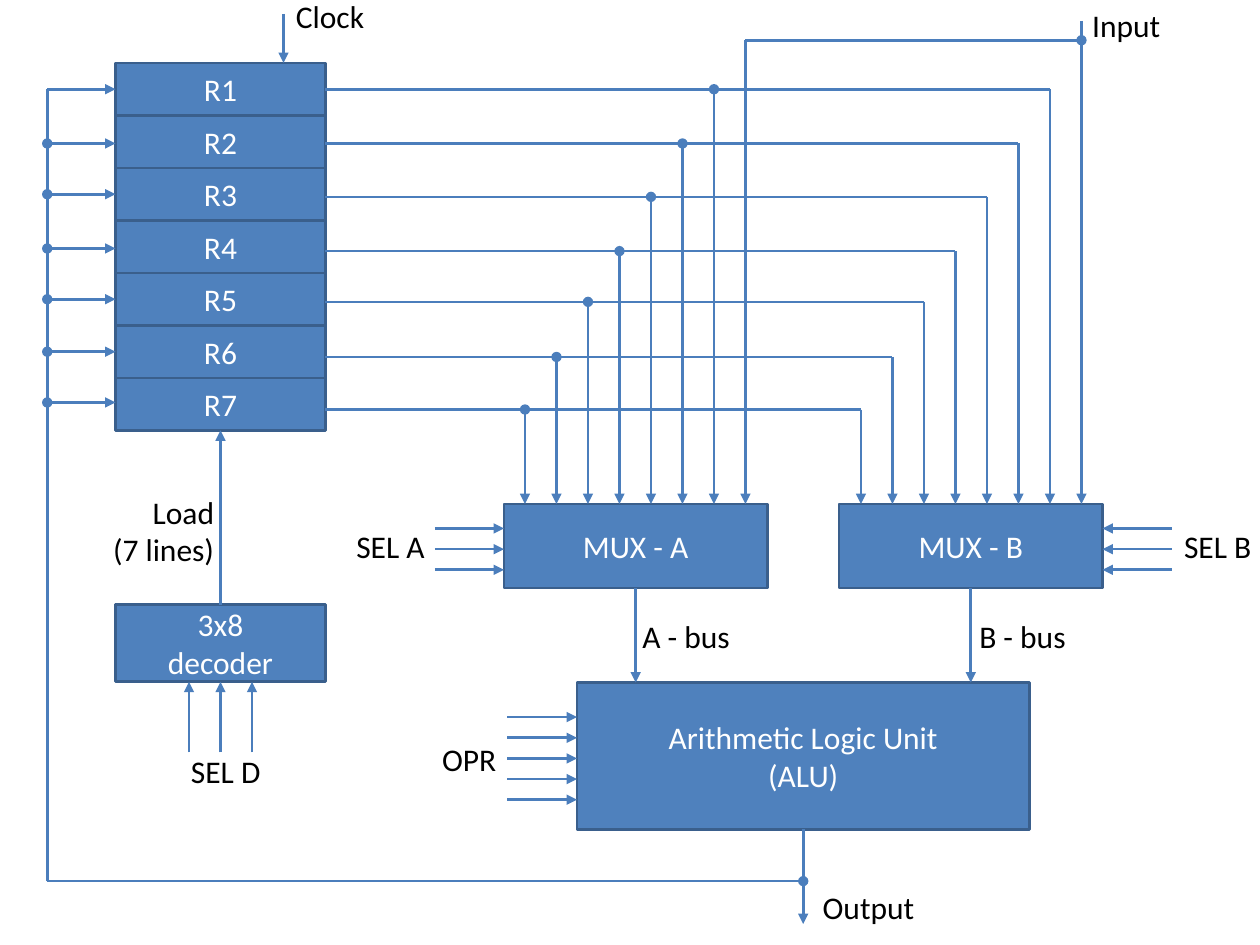
from dataclasses import dataclass

from lxml import etree
from pptx import Presentation
from pptx.dml.color import RGBColor
from pptx.enum.shapes import MSO_CONNECTOR, MSO_SHAPE
from pptx.enum.text import MSO_ANCHOR, MSO_AUTO_SIZE, PP_ALIGN
from pptx.oxml.ns import qn
from pptx.util import Pt

RECT = MSO_SHAPE.RECTANGLE
LINE = MSO_CONNECTOR.STRAIGHT
MIDDLE = MSO_ANCHOR.MIDDLE
GROW = MSO_AUTO_SIZE.SHAPE_TO_FIT_TEXT
LEFT, CENTER, RIGHT = PP_ALIGN.LEFT, PP_ALIGN.CENTER, PP_ALIGN.RIGHT
TOP_SITE, LEFT_SITE, BOTTOM_SITE, RIGHT_SITE = range(4)


@dataclass
class Theme:
    fill = RGBColor(0x4F, 0x81, 0xBD)
    edge = RGBColor(0x3A, 0x5F, 0x8C)
    wire = RGBColor(0x4B, 0x7E, 0xBC)
    light = RGBColor(255, 255, 255)
    dark = RGBColor(0, 0, 0)
    font = "Calibri"
    size = Pt(18)
    line = Pt(1.5)


theme = Theme()
deck = Presentation()
deck.slide_width, deck.slide_height = Pt(720), Pt(540)
slide = deck.slides.add_slide(deck.slide_layouts[6])
shapes = slide.shapes


def write(shape, text, color, align):
    frame = shape.text_frame
    frame.word_wrap = True
    frame.text = text
    for para in frame.paragraphs:
        para.alignment = align
        for run in para.runs:
            run.font.name = theme.font
            run.font.size = theme.size
            run.font.color.rgb = color


def wire(x1, y1, x2, y2, head=None, tail=None, start=None, end=None):
    link = shapes.add_connector(LINE, Pt(x1), Pt(y1), Pt(x2), Pt(y2))
    link.line.color.rgb = theme.wire
    link.line.width = theme.line
    props = link._element.spPr
    for tag, kind in (("a:headEnd", head), ("a:tailEnd", tail)):
        if kind:
            etree.SubElement(props.find(qn("a:ln")), qn(tag), type=kind)
    etree.SubElement(props, qn("a:effectLst"))
    if start:
        link.begin_connect(*start)
    if end:
        link.end_connect(*end)


boxes = [(f"R{i + 1}", 66, 36 + 30 * i, 120, 30) for i in range(7)]
boxes += [
    ("MUX - A", 288, 288, 150.5, 48),
    ("MUX - B", 479.5, 288, 150.5, 48),
    ("Arithmetic Logic Unit\n(ALU)", 329.75, 390, 258.5, 84),
    ("3x8\ndecoder", 66, 345.6, 120, 44),
]
made = []
for text, x, y, w, h in boxes:
    box = shapes.add_shape(RECT, Pt(x), Pt(y), Pt(w), Pt(h))
    box.shadow.inherit = False
    box.fill.solid()
    box.fill.fore_color.rgb = theme.fill
    box.line.color.rgb = theme.edge
    box.line.width = theme.line
    box.text_frame.vertical_anchor = MIDDLE
    write(box, text, theme.light, CENTER)
    made.append(box)
*regs, mux_a, mux_b, alu, coder = made

ins = (51, 82, 111, 142, 171, 201, 230)
outs = (51, 82, 112.5, 143.5, 172.5, 204, 234)
for i, (reg, y_in, y_out) in enumerate(zip(regs, ins, outs)):
    mid = 51 + 30 * i
    x_a, x_b = 408 - 18 * i, 600 - 18 * i
    wire(186, y_out, x_b, y_out,
         start=(reg, RIGHT_SITE) if y_out == mid else None)
    wire(x_b, y_out, x_b, 288, tail="triangle")
    wire(x_a, y_out, x_a, 288, "oval", "triangle")
    wire(27, y_in, 66, y_in, "oval" if i else None, "triangle",
         end=(reg, LEFT_SITE) if y_in == mid else None)

wire(162, 8, 162, 36, tail="triangle")
wire(618, 12, 618, 288, tail="triangle")
wire(426, 23, 426, 288, tail="triangle")
wire(426, 23, 618, 23, tail="oval")
wire(363.25, 336, 363.25, 390, tail="triangle", start=(mux_a, BOTTOM_SITE))
wire(554.75, 336, 554.75, 390, tail="triangle", start=(mux_b, BOTTOM_SITE))
wire(459, 474, 459, 528, tail="triangle", start=(alu, BOTTOM_SITE))
wire(27, 503.5, 27, 51)
wire(27, 503.5, 459, 503.5, tail="oval")
wire(126, 345.6, 126, 246, tail="triangle",
     start=(coder, TOP_SITE), end=(regs[-1], BOTTOM_SITE))

for i in range(3):
    y = 302 + 11.8 * i
    wire(248.5, y, 288, y, tail="triangle")
    wire(669.5, y, 630, y, tail="triangle")
    x = 108 + 18 * i
    wire(x, 430, x, 389.6, tail="triangle",
         end=(coder, BOTTOM_SITE) if i == 1 else None)
for i in range(5):
    y = 409.8 + 11.8 * i
    wire(290, y, 329.75, y, tail="triangle")

labels = [
    ("Clock", 162, -5.5, 60, 29, LEFT),
    ("Input", 617, 0, 60, 29, LEFT),
    ("Output", 463, 504, 71, 29, LEFT),
    ("SEL B", 669.5, 297.5, 60, 29, LEFT),
    ("SEL A", 196.5, 297.5, 60, 29, LEFT),
    ("SEL D", 102, 426, 60, 29, LEFT),
    ("OPR", 245.5, 419.5, 60, 29, LEFT),
    ("Load\n(7 lines)", 52.5, 278, 77, 51, RIGHT),
    ("A - bus", 360, 349, 71, 29, LEFT),
    ("B - bus", 552.5, 349, 71, 29, LEFT),
]
for text, x, y, w, h, align in labels:
    label = shapes.add_textbox(Pt(x), Pt(y), Pt(w), Pt(h))
    label.text_frame.auto_size = GROW
    write(label, text, theme.dark, align)

deck.save("out.pptx")
